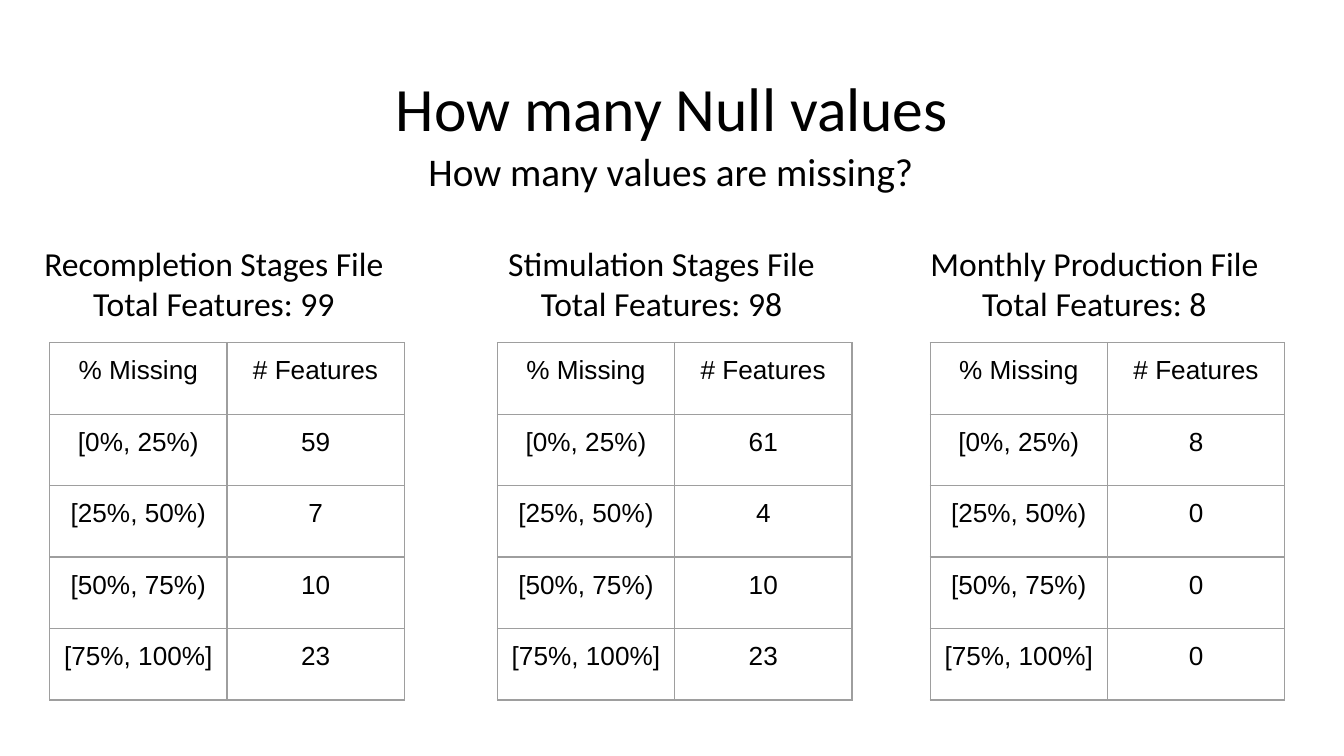
from pptx import Presentation
from pptx.dml.color import RGBColor as Rgb
from pptx.enum.text import MSO_ANCHOR as Anchor, PP_ALIGN as Align
from pptx.oxml import parse_xml
from pptx.oxml.ns import nsdecls
from pptx.util import Cm, Pt

BANDS = ["[0%, 25%)", "[25%, 50%)", "[50%, 75%)", "[75%, 100%]"]
FILES = [
    (0.94, "Recompletion Stages File", 99, [59, 7, 10, 23]),
    (9.4, "Stimulation Stages File", 98, [61, 4, 10, 23]),
    (17.58, "Monthly Production File", 8, [8, 0, 0, 0]),
]
COL, ROW = 3.35, 1.35


def color(code):
    return Rgb.from_string(code)


def write(frame, text, font="Calibri", size=18, ink="000000", gap=None,
          pad=(0.25, 0.25), anchor=Anchor.TOP):
    frame.word_wrap = True
    frame.vertical_anchor = anchor
    frame.margin_left = frame.margin_right = Cm(pad[0])
    frame.margin_top = frame.margin_bottom = Cm(pad[1])
    frame.text = text
    for para in frame.paragraphs:
        para.alignment = Align.CENTER
        para.line_spacing = gap
        para.font.name = font
        para.font.size = Pt(size)
        para.font.color.rgb = color(ink)


def add_title(slide, text):
    title = slide.shapes.title
    title.left, title.top = Cm(1.75), Cm(1.42)
    title.width, title.height = Cm(21.9), Cm(1.37)
    write(title.text_frame, text, size=33, gap=0.9, pad=(0.18, 0.1),
          anchor=Anchor.MIDDLE)


def add_label(slide, box, text, **style):
    label = slide.shapes.add_textbox(*map(Cm, box))
    write(label.text_frame, text, **style)


def add_edges(cell, ink="9E9E9E", width=0.75):
    props = cell._tc.get_or_add_tcPr()
    for at, side in enumerate("LRTB"):
        props.insert(at, parse_xml(
            f'<a:ln{side} {nsdecls("a")} w="{Pt(width)}"><a:solidFill>'
            f'<a:srgbClr val="{ink}"/></a:solidFill></a:ln{side}>'))


def add_grid(slide, left, top, rows):
    size = COL * len(rows[0]), ROW * len(rows)
    table = slide.shapes.add_table(
        len(rows), len(rows[0]), *map(Cm, (left, top, *size))).table
    table.first_row = table.horz_banding = False
    for row, line in enumerate(rows):
        for col, value in enumerate(line):
            cell = table.cell(row, col)
            cell.margin_left = cell.margin_right = Cm(0.25)
            cell.margin_top = cell.margin_bottom = Cm(0.25)
            cell.fill.background()
            add_edges(cell)
            para = cell.text_frame.paragraphs[0]
            para.text = str(value)
            para.alignment = Align.CENTER
            para.font.name = "Arial"
            para.font.size = Pt(14)
            para.font.color.rgb = color("000000")


def main():
    deck = Presentation()
    deck.slide_width, deck.slide_height = Cm(25.4), Cm(14.29)
    slide = deck.slides.add_slide(deck.slide_layouts[5])
    add_title(slide, "How many Null values")
    add_label(slide, (1.73, 2.79, 21.9, 1.83), "How many values are missing?",
              size=21, gap=0.9, pad=(0.18, 0.1))
    for left, name, total, counts in FILES:
        add_label(slide, (left - 0.5, 4.34, 7.21, 1.83),
                  f"{name}\nTotal Features: {total}")
        add_grid(slide, left, 6.48,
                 [("% Missing", "# Features"), *zip(BANDS, counts)])
    deck.save("out.pptx")


if __name__ == "__main__":
    main()
